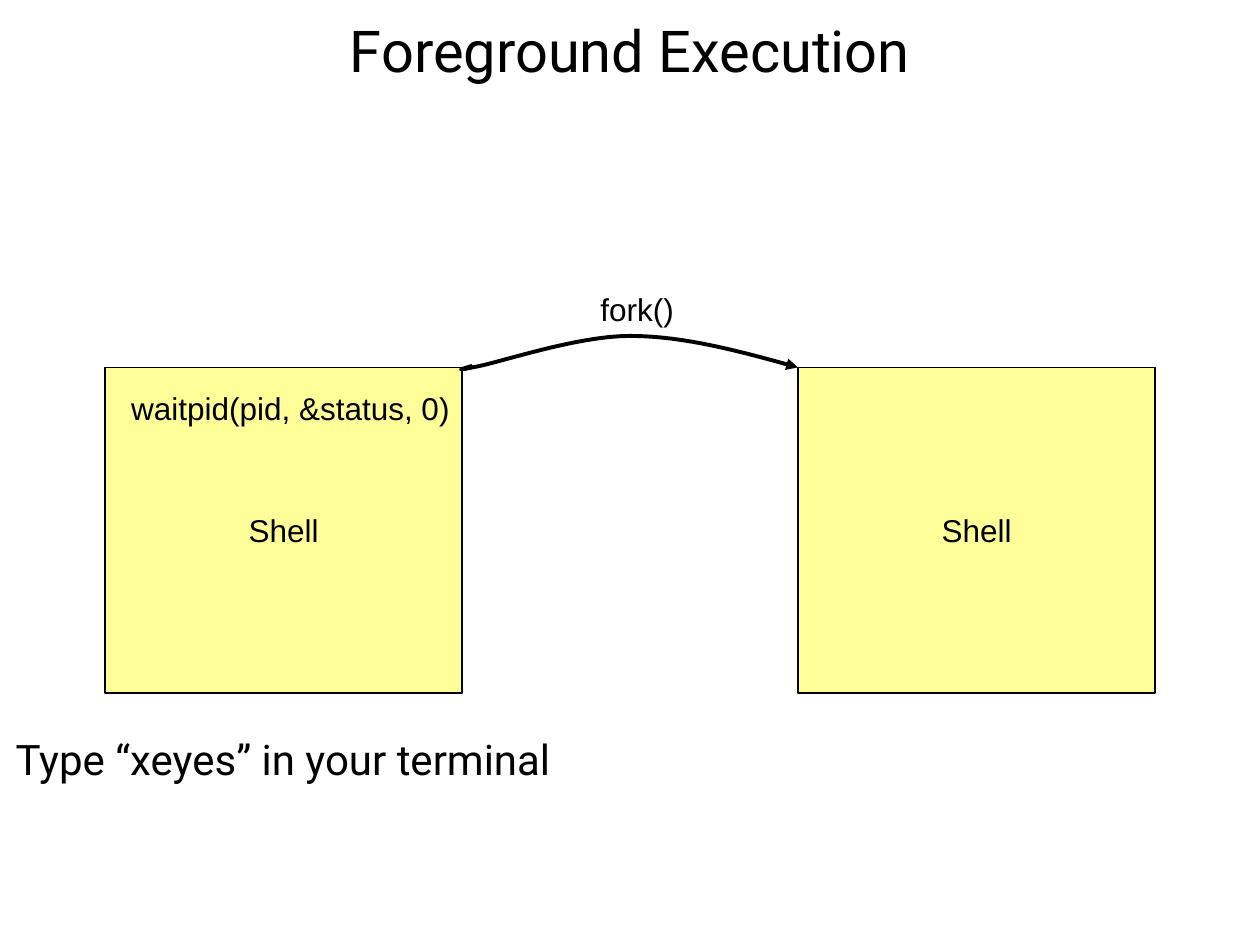
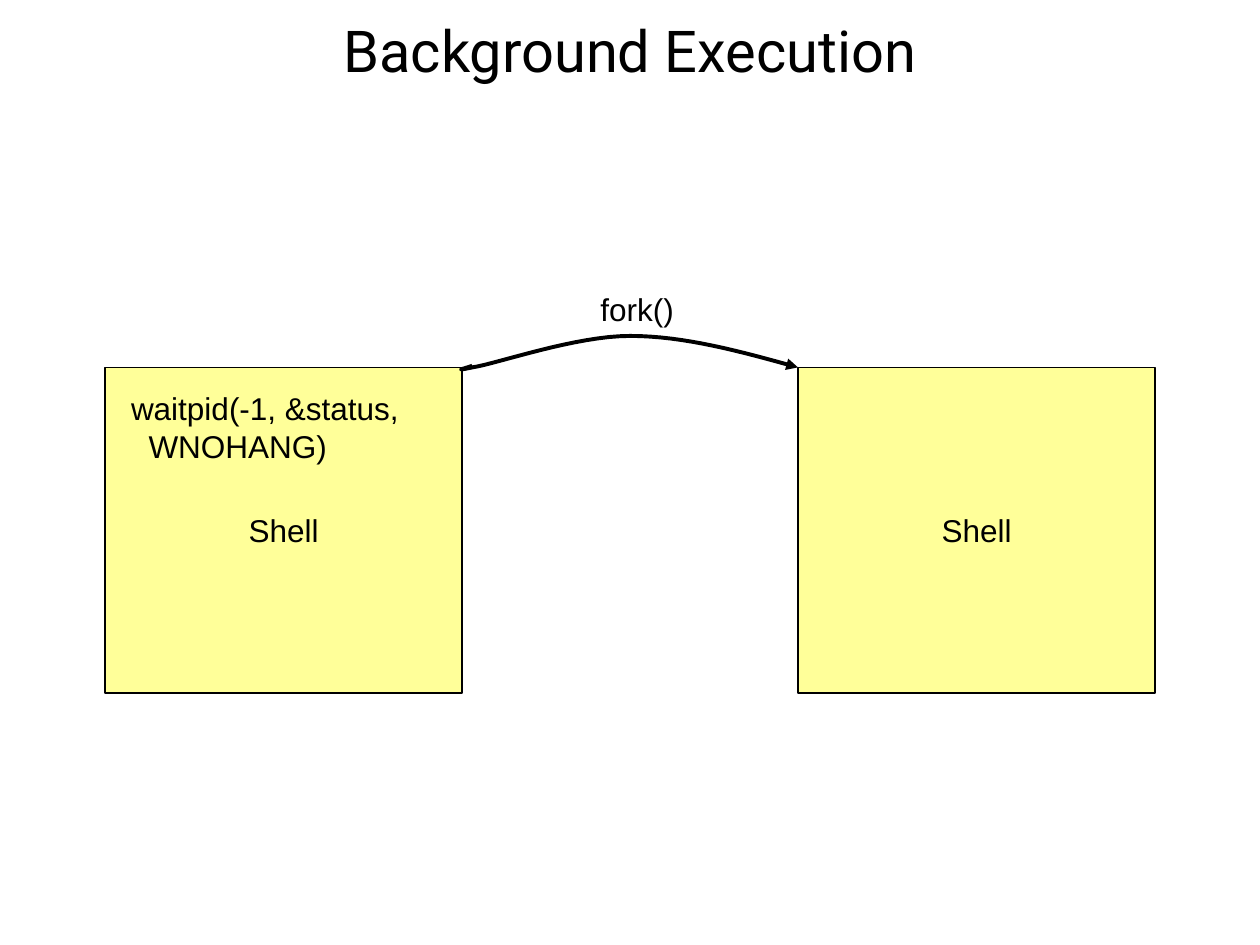
import pptx
import pptx.dml.color
import pptx.enum.shapes
import pptx.enum.text
import pptx.oxml.ns
import pptx.util
from lxml import etree

BLACK = pptx.dml.color.RGBColor(0x00, 0x00, 0x00)
WHITE = pptx.dml.color.RGBColor(0xFF, 0xFF, 0xFF)
YELLOW = pptx.dml.color.RGBColor(0xFF, 0xFF, 0x99)

HEAD_FONT = "Roboto"
BODY_FONT = "Arial"
COLS, ROWS = 120, 90
SHELL_TOP, SHELL_W, SHELL_H = 35, 34, 31
PARENT_X, CHILD_X = 10, 76
FORK_CURVE = [
    (45, 34.8),
    (45.1, 34.9), (42.5, 35.5), (45, 35),
    (47.5, 34.6), (54.8, 32), (60, 32),
    (65.2, 32), (70.6, 33.5), (CHILD_X, SHELL_TOP),
]
CURVE_STEPS = 16

ALIGN = pptx.enum.text.PP_ALIGN
ANCHOR = pptx.enum.text.MSO_ANCHOR
AUTO_SIZE = pptx.enum.text.MSO_AUTO_SIZE


def bezier(points, steps):
    for i in range(0, len(points) - 1, 3):
        a, b, c, d = points[i:i + 4]
        for n in range(1, steps + 1):
            t = n / steps
            u = 1 - t
            yield tuple(
                u**3 * a[k] + 3 * u**2 * t * b[k] + 3 * u * t**2 * c[k] + t**3 * d[k]
                for k in (0, 1)
            )


class Deck:
    def __init__(self):
        self.prs = pptx.Presentation()
        self.prs.slide_width = pptx.util.Inches(10)
        self.prs.slide_height = pptx.util.Inches(7.5)
        self.s = None

    def x(self, col):
        return pptx.util.Emu(round(self.prs.slide_width * col / COLS))

    def y(self, row):
        return pptx.util.Emu(round(self.prs.slide_height * row / ROWS))

    def box(self, col, row, cols, rows):
        return self.x(col), self.y(row), self.x(cols), self.y(rows)

    def set_text(self, tf, lines, size, font=BODY_FONT, align=ALIGN.LEFT, spacing=None):
        for i, line in enumerate(lines):
            p = tf.paragraphs[0] if i == 0 else tf.add_paragraph()
            p.text = line
            p.alignment = align
            p.line_spacing = spacing
            p.font.name = font
            p.font.size = pptx.util.Pt(size)
            p.font.color.rgb = BLACK

    def heading(self, sp, text, size):
        tf = sp.text_frame
        tf.word_wrap = True
        tf.auto_size = AUTO_SIZE.NONE
        tf.vertical_anchor = ANCHOR.MIDDLE
        self.set_text(tf, [text], size, HEAD_FONT, ALIGN.CENTER, 0.9)

    def slide(self, title):
        self.s = self.prs.slides.add_slide(self.prs.slide_layouts[5])
        self.s.background.fill.solid()
        self.s.background.fill.fore_color.rgb = WHITE
        sp = self.s.shapes.title
        sp.left, sp.top, sp.width, sp.height = self.box(4, 0, 112, 10.2)
        self.heading(sp, title, 33)

    def prompt(self, text):
        sp = self.s.shapes.add_textbox(*self.box(-16.7, 67.5, 87.3, 10.2))
        self.heading(sp, text, 24)

    def shell(self, col):
        sp = self.s.shapes.add_shape(
            pptx.enum.shapes.MSO_SHAPE.RECTANGLE,
            *self.box(col, SHELL_TOP, SHELL_W, SHELL_H))
        sp.shadow.inherit = False
        sp.fill.solid()
        sp.fill.fore_color.rgb = YELLOW
        sp.line.color.rgb = BLACK
        sp.line.width = pptx.util.Pt(0.75)
        tf = sp.text_frame
        tf.word_wrap = False
        tf.vertical_anchor = ANCHOR.MIDDLE
        self.set_text(tf, ["Shell"], 18, align=ALIGN.CENTER)

    def label(self, lines, col, row, cols, rows):
        sp = self.s.shapes.add_textbox(*self.box(col, row, cols, rows))
        tf = sp.text_frame
        tf.word_wrap = False
        tf.auto_size = AUTO_SIZE.SHAPE_TO_FIT_TEXT
        self.set_text(tf, lines, 18)
        for p in tf.paragraphs[1:]:
            p._p.get_or_add_pPr().set("marL", str(pptx.util.Pt(10)))

    def curved_arrow(self, points):
        start_x, start_y = points[0]
        fb = self.s.shapes.build_freeform(self.x(start_x), self.y(start_y))
        fb.add_line_segments(
            [(self.x(c), self.y(r)) for c, r in bezier(points, CURVE_STEPS)],
            close=False)
        sp = fb.convert_to_shape()
        sp.shadow.inherit = False
        sp.fill.background()
        sp.line.color.rgb = BLACK
        sp.line.width = pptx.util.Pt(2.25)
        ln = sp.line._get_or_add_ln()
        etree.SubElement(ln, pptx.oxml.ns.qn("a:tailEnd"), type="triangle")

    def fork_diagram(self, wait_call, wait_cols, wait_rows):
        self.shell(PARENT_X)
        self.label(wait_call, 11.3, 36.5, wait_cols, wait_rows)
        self.curved_arrow(FORK_CURVE)
        self.label(["fork()"], 56, 27, 9.4, 4.8)
        self.shell(CHILD_X)


def main():
    deck = Deck()

    deck.slide("Foreground Execution")
    deck.fork_diagram(["waitpid(pid, &status, 0)"], 32.8, 4.8)
    deck.prompt("Type “xeyes” in your terminal")

    deck.slide("Background Execution")
    deck.fork_diagram(["waitpid(-1, &status,", "WNOHANG)"], 28.8, 8.4)

    deck.prs.save("out.pptx")


if __name__ == "__main__":
    main()
